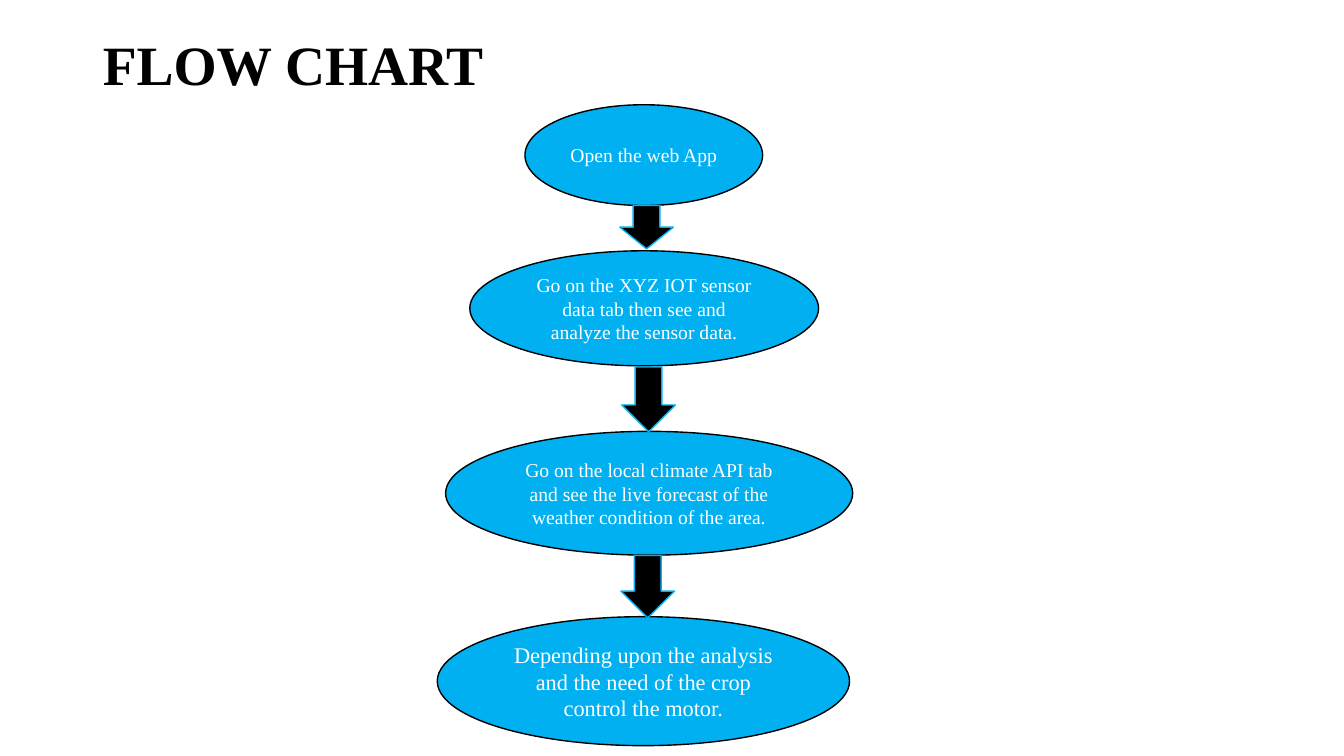
"""Build a slide with a flow chart of four steps for a farm web app."""
from dataclasses import dataclass

from pptx import Presentation
from pptx.dml.color import RGBColor
from pptx.enum.shapes import MSO_SHAPE
from pptx.enum.text import MSO_ANCHOR, MSO_AUTO_SIZE, PP_ALIGN
from pptx.shapes.autoshape import Shape
from pptx.slide import Slide
from pptx.text.text import TextFrame
from pptx.util import Cm, Pt

OVAL = MSO_SHAPE.OVAL
DOWN = MSO_SHAPE.DOWN_ARROW
MIDDLE = MSO_ANCHOR.MIDDLE
NO_FIT = MSO_AUTO_SIZE.NONE
LEFT = PP_ALIGN.LEFT
CENTER = PP_ALIGN.CENTER

BLACK = RGBColor(0x00, 0x00, 0x00)
WHITE = RGBColor(0xFF, 0xFF, 0xFF)
BLUE = RGBColor(0x00, 0xB0, 0xF0)

FRAME = {"word_wrap": True, "auto_size": NO_FIT, "vertical_anchor": MIDDLE}
FONT = {"name": "Times New Roman", "bold": False}
ARROW_WIDTH = 1.35


@dataclass(frozen=True)
class Box:
    """Place and size in centimetres."""
    left: float
    top: float
    width: float
    height: float


@dataclass(frozen=True)
class Step:
    """One oval of the chart."""
    box: Box
    text: str
    size: float = 14


STEPS = [
    Step(Box(13.23, 2.64, 5.99, 2.54), "Open the web App"),
    Step(Box(11.84, 6.32, 8.79, 2.9),
         "Go on the XYZ IOT sensor data tab then see and analyze the sensor data."),
    Step(Box(11.23, 10.87, 10.26, 3.12),
         "Go on the local climate API tab and see the live forecast "
         "of the weather condition of the area."),
    Step(Box(11.02, 15.54, 10.39, 3.25),
         "Depending upon the analysis and the need of the crop control the motor.", 16),
]
ARROWS = [
    Box(15.62, 5.18, ARROW_WIDTH, 1.09),
    Box(15.67, 9.25, ARROW_WIDTH, 1.63),
    Box(15.65, 14, ARROW_WIDTH, 1.57),
]


def apply(target: object, values: dict) -> None:
    """Set each named value on the target."""
    for name, value in values.items():
        setattr(target, name, value)


def write(frame: TextFrame, text: str, color: RGBColor, align: PP_ALIGN,
          look: dict) -> None:
    """Fill a frame with one styled paragraph."""
    apply(frame, FRAME)
    line = frame.paragraphs[0]
    line.alignment = align
    run = line.add_run()
    run.text = text
    apply(run.font, FONT | look)
    run.font.color.rgb = color


def draw(slide: Slide, kind: MSO_SHAPE, box: Box, fill: RGBColor,
         edge: RGBColor) -> Shape:
    """Add a flat shape with a thin edge."""
    shape = slide.shapes.add_shape(
        kind, Cm(box.left), Cm(box.top), Cm(box.width), Cm(box.height))
    shape.shadow.inherit = False
    shape.fill.solid()
    shape.fill.fore_color.rgb = fill
    shape.line.color.rgb = edge
    shape.line.width = Pt(1)
    return shape


def main() -> None:
    """Build and save the deck."""
    deck = Presentation()
    apply(deck, {"slide_width": Cm(33.87), "slide_height": Cm(19.05)})
    slide = deck.slides.add_slide(deck.slide_layouts[5])

    title = slide.shapes.title
    apply(title, {"left": Cm(2.34), "top": Cm(1.02),
                  "width": Cm(29.21), "height": Cm(1.37)})
    write(title.text_frame, "FLOW CHART", BLACK, LEFT,
          {"size": Pt(39.6), "bold": True})
    title.text_frame.paragraphs[0].line_spacing = 0.9

    for step in STEPS:
        oval = draw(slide, OVAL, step.box, BLUE, BLACK)
        write(oval.text_frame, step.text, WHITE, CENTER, {"size": Pt(step.size)})
    for box in ARROWS:
        draw(slide, DOWN, box, BLACK, BLUE)

    deck.save("out.pptx")


if __name__ == "__main__":
    main()
